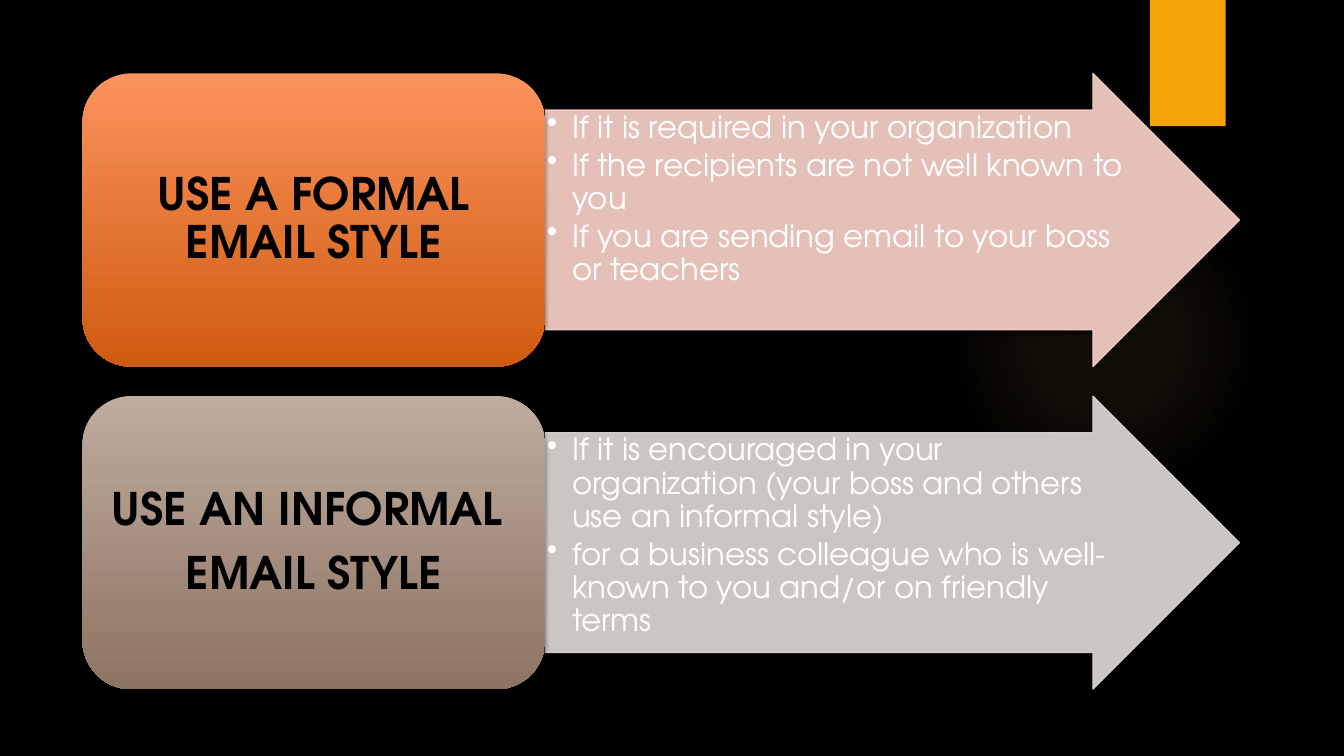
from lxml import etree
from pptx import Presentation
from pptx.dml.color import RGBColor
from pptx.enum.shapes import MSO_SHAPE
from pptx.enum.text import MSO_ANCHOR, PP_ALIGN
from pptx.oxml import parse_xml
from pptx.oxml.ns import nsdecls, qn
from pptx.util import Cm, Pt

ELLIPSE = MSO_SHAPE.OVAL
RECTANGLE = MSO_SHAPE.RECTANGLE
ROUNDED = MSO_SHAPE.ROUNDED_RECTANGLE
ARROW = MSO_SHAPE.RIGHT_ARROW
MIDDLE, TOP = MSO_ANCHOR.MIDDLE, MSO_ANCHOR.TOP
CENTER, LEFT = PP_ALIGN.CENTER, PP_ALIGN.LEFT

FONT = "TeX Gyre Adventor"
ROW_TOP, ROW_STEP, ROW_HEIGHT = 1.85, 8.13, 7.39
BOX_LEFT, BOX_WIDTH, ARROW_WIDTH = 2.08, 11.66, 17.5
DOWNWARD = '<a:lin ang="5400000" scaled="0"/>'
RADIAL = ('<a:path path="circle"><a:fillToRect l="50000" t="50000" '
          'r="50000" b="50000"/></a:path>')

HEADING = {
    "margins": (0.33, 0.17), "anchor": MIDDLE, "bullet": False,
    "paragraph": {"alignment": CENTER, "line_spacing": 0.9, "space_after": Pt(11.2)},
    "font": {"name": FONT, "size": Pt(32), "bold": True}, "color": "000000",
}
REASONS = {
    "margins": (0.04, 0.04), "anchor": TOP, "bullet": True,
    "paragraph": {"alignment": LEFT, "level": 1, "line_spacing": 0.9,
                  "space_after": Pt(3.3)},
    "font": {"name": FONT, "size": Pt(22), "bold": False}, "color": "FFFFFF",
}

STYLES = [
    {
        "heading": ["USE A FORMAL EMAIL STYLE"],
        "reasons": ["If it is required in your organization",
                    "If the recipients are not well known to you",
                    "If you are sending email to your boss or teachers"],
        "box": ("FB935D", "CF5B0F"), "arrow": "FDD5CD",
    },
    {
        "heading": ["USE AN INFORMAL ", "EMAIL STYLE"],
        "reasons": ["If it is encouraged in your organization "
                    "(your boss and others use an informal style)",
                    "for a business colleague who is well-known to you "
                    "and/or on friendly terms"],
        "box": ("BEAC9F", "8E7463"), "arrow": "E2DCD8",
    },
]


def rgb(color):
    """Turn a hex string into a colour."""
    return RGBColor.from_string(color)


def set_values(target, values):
    """Set attributes of an object from a dict."""
    for name, value in values.items():
        setattr(target, name, value)


def add_plain_shape(slide, kind, left, top, width, height):
    """Add a shape without fill, line or shadow."""
    shape = slide.shapes.add_shape(kind, Cm(left), Cm(top), Cm(width), Cm(height))
    shape.shadow.inherit = False
    shape.fill.background()
    shape.line.fill.background()
    return shape


def add_shadow(shape):
    """Give a shape a soft shadow below it."""
    effects = shape._element.spPr.find(qn("a:effectLst"))
    effects.append(parse_xml(
        f'<a:outerShdw {nsdecls("a")} blurRad="38100" dist="25400" dir="5400000" '
        'rotWithShape="0"><a:srgbClr val="000000"><a:alpha val="45000"/>'
        '</a:srgbClr></a:outerShdw>'))


def fill_solid(fill, color, opacity=100):
    """Fill with one colour at an opacity in percent."""
    fill.solid()
    fill.fore_color.rgb = rgb(color)
    color_element = fill._xPr.find(qn("a:solidFill"))[0]
    etree.SubElement(color_element, qn("a:alpha"), val=str(opacity * 1000))


def fill_gradient(shape, stops, direction):
    """Fill a shape with stops of position, colour and opacity."""
    stop_xml = "".join(
        f'<a:gs pos="{position * 1000}"><a:srgbClr val="{color}">'
        f'<a:alpha val="{opacity * 1000}"/></a:srgbClr></a:gs>'
        for position, color, opacity in stops)
    properties = shape._element.spPr
    properties.replace(properties.find(qn("a:noFill")), parse_xml(
        f'<a:gradFill {nsdecls("a")} rotWithShape="1"><a:gsLst>{stop_xml}</a:gsLst>'
        f'{direction}</a:gradFill>'))


def add_bullet(paragraph):
    """Give a paragraph a round bullet and a hanging indent."""
    properties = paragraph._p.get_or_add_pPr()
    properties.set("marL", str(Cm(0.64)))
    properties.set("indent", str(Cm(-0.64)))
    etree.SubElement(properties, qn("a:buChar"), char="•")


def write_text(shape, lines, style):
    """Write paragraphs in a shape."""
    frame = shape.text_frame
    side, edge = style["margins"]
    set_values(frame, {
        "word_wrap": True, "vertical_anchor": style["anchor"],
        "margin_left": Cm(side), "margin_right": Cm(side),
        "margin_top": Cm(edge), "margin_bottom": Cm(edge)})
    for index, line in enumerate(lines):
        paragraph = frame.add_paragraph() if index else frame.paragraphs[0]
        if style["bullet"]:
            add_bullet(paragraph)
        set_values(paragraph, style["paragraph"])
        run = paragraph.add_run()
        run.text = line
        set_values(run.font, style["font"])
        run.font.color.rgb = rgb(style["color"])


def add_backdrop(slide):
    """Add the black background, the faint glow and the orange tab."""
    fill_solid(slide.background.fill, "000000")
    glow = add_plain_shape(slide, ELLIPSE, 23.9, 4.65, 7.82, 7.82)
    fill_gradient(glow, [(0, "FAC96A", 7), (36, "FAC96A", 6), (69, "FAC96A", 0)], RADIAL)
    tab = add_plain_shape(slide, RECTANGLE, 28.98, 0, 1.91, 3.18)
    fill_solid(tab.fill, "F5A408")
    add_shadow(tab)


def add_style_row(slide, top, content):
    """Add the arrow with its reasons and the box with its heading."""
    arrow = add_plain_shape(slide, ARROW, BOX_LEFT + BOX_WIDTH, top,
                            ARROW_WIDTH, ROW_HEIGHT)
    arrow.adjustments[0] = 0.75
    arrow.adjustments[1] = 0.5
    fill_solid(arrow.fill, content["arrow"], 90)
    fill_solid(arrow.line.fill, content["arrow"], 90)
    arrow.line.width = Pt(0.75)
    add_shadow(arrow)
    write_text(arrow, content["reasons"], REASONS)

    box = add_plain_shape(slide, ROUNDED, BOX_LEFT, top, BOX_WIDTH, ROW_HEIGHT)
    start, end = content["box"]
    fill_gradient(box, [(0, start, 100), (100, end, 100)], DOWNWARD)
    add_shadow(box)
    write_text(box, content["heading"], HEADING)


def main():
    """Build the slide and save it."""
    presentation = Presentation()
    presentation.slide_width = Cm(33.87)
    presentation.slide_height = Cm(19.05)
    slide = presentation.slides.add_slide(presentation.slide_layouts[6])
    add_backdrop(slide)
    for index, content in enumerate(STYLES):
        add_style_row(slide, ROW_TOP + index * ROW_STEP, content)
    presentation.save("out.pptx")


if __name__ == "__main__":
    main()
